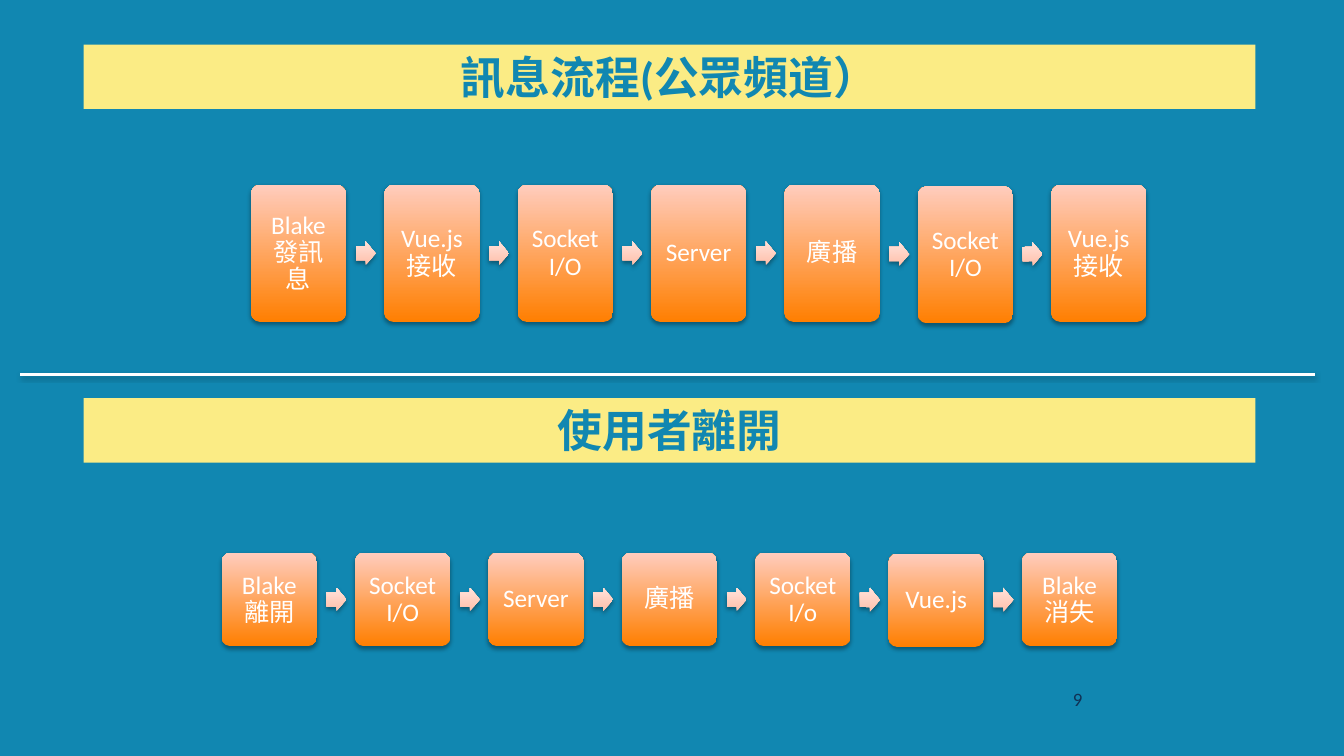
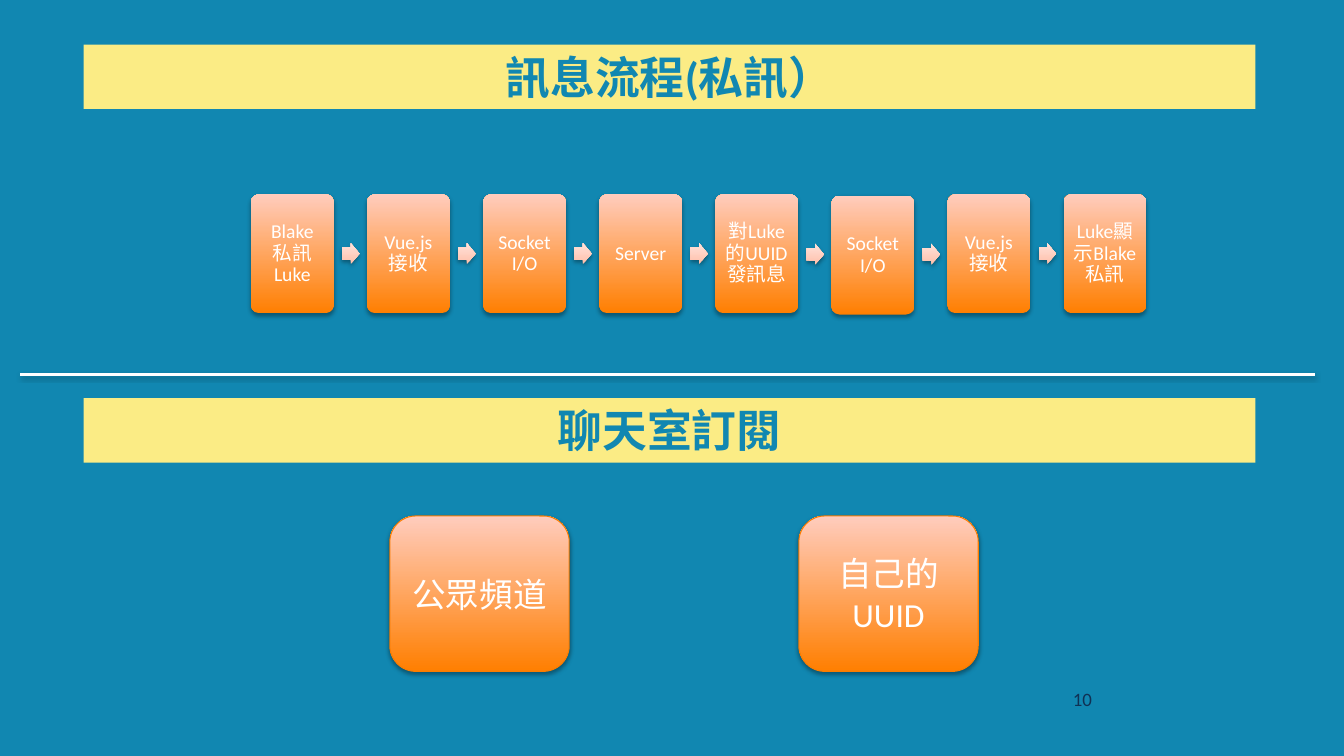
"""Two slides of chat message flows on a shared blue theme."""
from collections import namedtuple
from dataclasses import dataclass
from math import atan2, degrees

from lxml.etree import SubElement
from pptx import Presentation
from pptx.dml.color import RGBColor as RGB
from pptx.enum.shapes import MSO_CONNECTOR as CONN, MSO_SHAPE as SHAPE
from pptx.enum.text import MSO_ANCHOR as ANCHOR, PP_ALIGN as ALIGN
from pptx.oxml.ns import qn
from pptx.util import Pt

Box = namedtuple("Box", "x y w h")


@dataclass(frozen=True)
class Theme:
    """Colours and type sizes of the deck."""
    font: str = "Calibri"
    back: str = "1187B1"
    band: str = "FBEC85"
    light: str = "FFFFFF"
    page: str = "103154"
    edge: str = "FA7C00"
    node: tuple = ("FF7F01", "FFCCBD")
    arrow: tuple = ("FFC0AB", "FFE2DA")
    title_size: float = 32
    topic_size: float = 24
    node_size: float = 18
    dense_size: float = 14
    page_size: float = 13.5


T = Theme()
PAGE = Box(0, 0, 960.48, 540)
TOP_BAND = Box(59.8, 31.8, 837.4, 46)
LOW_BAND = TOP_BAND._replace(y=284.4)


def add_shadow(effects, alpha, dist):
    """Put a soft downward shadow in an effect list."""
    shadow = SubElement(effects, qn("a:outerShdw"), blurRad=str(Pt(3.1)),
                        dist=str(Pt(dist)), dir="5400000", rotWithShape="0")
    color = SubElement(shadow, qn("a:srgbClr"), val="000000")
    SubElement(color, qn("a:alpha"), val=str(alpha * 1000))


def write(shape, text, size, color, align=ALIGN.CENTER, bold=False):
    """Write one styled paragraph and return it."""
    p = shape.text_frame.paragraphs[0]
    p.text, p.alignment = text, align
    p.font.name, p.font.size, p.font.bold = T.font, Pt(size), bold
    p.font.color.rgb = RGB.from_string(color)
    return p


def add_glossy(s, kind, box, colors):
    """Add a shape with a vertical gradient and a shadow."""
    sp = s.shapes.add_shape(kind, *map(Pt, box))
    sp.fill.gradient()
    sp.fill.gradient_angle = 90
    for stop, color in zip(sp.fill.gradient_stops, colors):
        stop.color.rgb = RGB.from_string(color)
    sp.line.fill.background()
    sp.shadow.inherit = False
    add_shadow(sp._element.spPr.find(qn("a:effectLst")), 35, 1.8)
    return sp


def add_band(s, box, text):
    """Add a yellow heading band."""
    sp = s.shapes.add_shape(SHAPE.RECTANGLE, *map(Pt, box))
    sp.shadow.inherit = False
    sp.fill.solid()
    sp.fill.fore_color.rgb = RGB.from_string(T.band)
    sp.line.fill.background()
    sp.text_frame.vertical_anchor = ANCHOR.TOP
    write(sp, text, T.title_size, T.back, bold=True)


def add_divider(s, x1, x2, y):
    """Add the white line between the two halves."""
    line = s.shapes.add_connector(CONN.STRAIGHT, Pt(x1), Pt(y), Pt(x2), Pt(y))
    line.line.color.rgb = RGB.from_string(T.light)
    line.line.width = Pt(2)
    effects = SubElement(line._element.spPr, qn("a:effectLst"))
    add_shadow(effects, 38, 1.6)


def add_flow(s, box, labels, size, lowered=5, drop=1):
    """Fill the box with equal nodes joined by arrows, one node lowered."""
    w = box.w / (1.4 * len(labels) - 0.4)
    pitch = 1.4 * w
    tops = [box.y + drop * (i == lowered) for i in range(len(labels))]
    for i, (label, top) in enumerate(zip(labels, tops)):
        x = box.x + i * pitch
        node = add_glossy(s, SHAPE.ROUNDED_RECTANGLE,
                          Box(x, top, w, box.h), T.node)
        node.adjustments[0] = 0.1
        tf = node.text_frame
        tf.margin_left = tf.margin_right = Pt(0.3 * size)
        tf.margin_top = tf.margin_bottom = Pt(0.3 * size)
        write(node, label, size, T.light).line_spacing = 0.9
        if i + 1 < len(labels):
            middle = (top + tops[i + 1] + box.h) / 2
            arrow = add_glossy(
                s, SHAPE.RIGHT_ARROW,
                Box(x + 1.1 * w, middle - 0.125 * w, 0.21 * w, 0.25 * w),
                T.arrow)
            arrow.adjustments[0] = 0.6
            arrow.rotation = degrees(atan2(tops[i + 1] - top, pitch))


def add_topics(s, box, labels, w=128.2):
    """Spread large topic cards from edge to edge of the box."""
    step = (box.w - w) / (len(labels) - 1)
    for i, label in enumerate(labels):
        card = add_glossy(s, SHAPE.ROUNDED_RECTANGLE,
                          Box(box.x + i * step, box.y, w, box.h), T.node)
        card.line.color.rgb = RGB.from_string(T.edge)
        card.line.width = Pt(0.75)
        write(card, label, T.topic_size, T.light)


def add_split_slide(prs, number, upper, lower):
    """Add a slide with page number, two headings and a divider."""
    s = prs.slides.add_slide(prs.slide_layouts[6])
    page = s.shapes.add_textbox(Pt(759.6), Pt(487.4), Pt(29.5), Pt(28.8))
    page.text_frame.word_wrap = True
    write(page, number, T.page_size, T.page, ALIGN.LEFT)
    add_band(s, TOP_BAND, upper)
    add_divider(s, 14.4, 939.6, 267.3)
    add_band(s, LOW_BAND, lower)
    return s


def main():
    """Build and save the deck."""
    prs = Presentation()
    prs.slide_width, prs.slide_height = Pt(PAGE.w), Pt(PAGE.h)
    fill = prs.slide_master.background.fill
    fill.solid()
    fill.fore_color.rgb = RGB.from_string(T.back)

    s = add_split_slide(prs, "9", "訊息流程(公眾頻道）", "使用者離開")
    add_flow(s, Box(179.3, 132, 640, 98),
             ["Blake發訊息", "Vue.js接收", "Socket I/O", "Server", "廣播",
              "Socket I/O", "Vue.js接收"], T.node_size)
    add_flow(s, Box(158.4, 394.8, 640, 66.8),
             ["Blake 離開", "Socket I/O", "Server", "廣播", "Socket I/o",
              "Vue.js", "Blake 消失"], T.node_size, drop=0.6)

    s = add_split_slide(prs, "10", "訊息流程(私訊）", "聊天室訂閱")
    add_flow(s, Box(179.3, 138.7, 640, 85),
             ["Blake 私訊Luke", "Vue.js接收", "Socket I/O", "Server",
              "對Luke的UUID發訊息", "Socket I/O", "Vue.js接收",
              "Luke顯示Blake私訊"], T.dense_size)
    add_topics(s, Box(278.6, 368.6, 420.5, 111), ["公眾頻道", "自己的UUID"])
    prs.save("out.pptx")


main()
